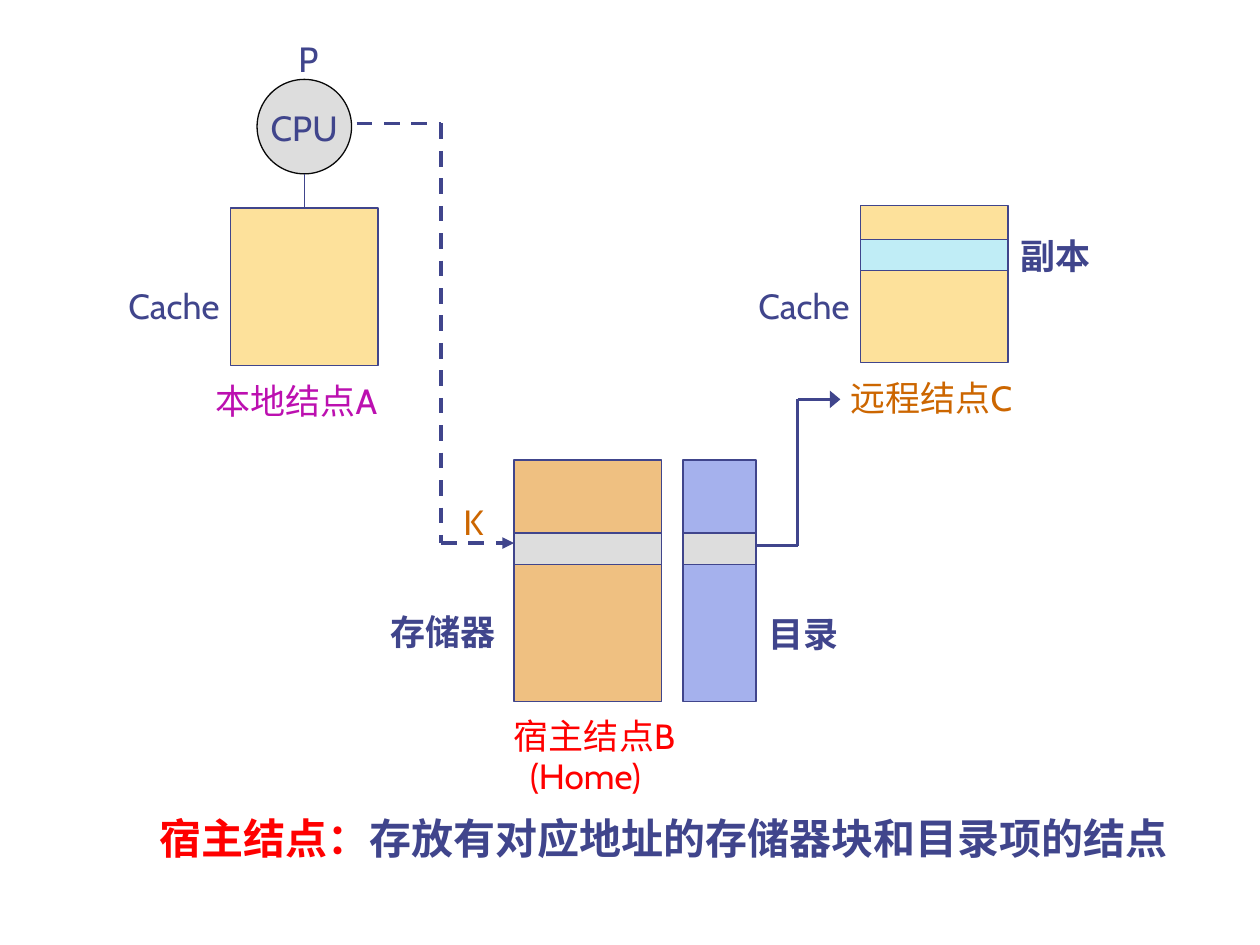
from lxml.etree import SubElement
from pptx import Presentation
from pptx.dml.color import RGBColor
from pptx.enum.dml import MSO_LINE
from pptx.enum.shapes import MSO_CONNECTOR, MSO_SHAPE
from pptx.oxml.ns import qn
from pptx.util import Inches, Pt

INK = RGBColor(0x40, 0x45, 0x8C)
OUTLINE = RGBColor(0x08, 0x08, 0x08)
GRAY = RGBColor(0xDD, 0xDD, 0xDD)
YELLOW = RGBColor(0xFD, 0xE1, 0x9B)
ORANGE = RGBColor(0xEF, 0xC0, 0x81)
CYAN = RGBColor(0xC0, 0xED, 0xF6)
BLUE = RGBColor(0xA5, 0xB1, 0xED)
PURPLE = RGBColor(0xBC, 0x10, 0xB0)
BROWN = RGBColor(0xCC, 0x66, 0x00)
RED = RGBColor(0xFF, 0x00, 0x00)


def add_line(start, end, width, dash=None, head=None):
    points = [Inches(v) for v in (*start, *end)]
    line = s.shapes.add_connector(MSO_CONNECTOR.STRAIGHT, *points)
    line.line.color.rgb = INK
    line.line.width = Pt(width)
    if dash:
        line.line.dash_style = dash
    if head:
        ln = line._element.spPr.find(qn("a:ln"))
        SubElement(ln, qn("a:tailEnd"), type="triangle", w=head)
    SubElement(line._element.spPr, qn("a:effectLst"))
    return line


def add_text(x, y, w, h, runs, size=20, bold=False, spacing=1.0):
    tf = s.shapes.add_textbox(Inches(x), Inches(y), Inches(w), Inches(h)).text_frame
    tf.word_wrap = True
    p = tf.paragraphs[0]
    p.line_spacing = spacing
    for text, color, font in runs:
        r = p.add_run()
        r.text = text
        r.font.size = Pt(size)
        r.font.bold = bold
        r.font.name = font
        r.font.color.rgb = color


prs = Presentation()
prs.slide_width, prs.slide_height = Inches(10), Inches(7.5)
s = prs.slides.add_slide(prs.slide_layouts[6])

boxes = {}
for name, kind, x, y, w, h, fill, outline in [
    ("cpu", MSO_SHAPE.OVAL, 2.04, 0.63, 0.75, 0.75, GRAY, OUTLINE),
    ("local cache", MSO_SHAPE.RECTANGLE, 1.83, 1.65, 1.17, 1.25, YELLOW, INK),
    ("remote cache", MSO_SHAPE.RECTANGLE, 6.83, 1.63, 1.17, 1.25, YELLOW, INK),
    ("replica", MSO_SHAPE.RECTANGLE, 6.83, 1.9, 1.17, 0.25, CYAN, INK),
    ("memory", MSO_SHAPE.RECTANGLE, 4.08, 3.65, 1.17, 1.92, ORANGE, INK),
    ("directory", MSO_SHAPE.RECTANGLE, 5.42, 3.65, 0.58, 1.92, BLUE, INK),
    ("memory block", MSO_SHAPE.RECTANGLE, 4.08, 4.23, 1.17, 0.25, GRAY, INK),
    ("directory entry", MSO_SHAPE.RECTANGLE, 5.42, 4.23, 0.58, 0.25, GRAY, INK),
]:
    sp = s.shapes.add_shape(kind, Inches(x), Inches(y), Inches(w), Inches(h))
    sp.shadow.inherit = False
    sp.fill.solid()
    sp.fill.fore_color.rgb = fill
    sp.line.color.rgb = outline
    sp.line.width = Pt(0.75)
    boxes[name] = sp

cpu_x = 1.83 + 1.17 / 2
cpu_link = add_line((cpu_x, 1.38), (cpu_x, 1.65), 0.75)
cpu_link.end_connect(boxes["local cache"], 0)

request = [(2.83, 0.98), (3.5, 0.98), (3.5, 4.31), (4.08, 4.31)]
forward = [(6, 4.33), (6.33, 4.33), (6.33, 3.17), (6.67, 3.17)]
for route, width, dash, head in [
    (request, 2.25, MSO_LINE.DASH, "med"),
    (forward, 1.5, None, "lg"),
]:
    for start, end in zip(route, route[1:]):
        add_line(start, end, width, dash, head if end == route[-1] else None)

for text, x, y, w, h, color, bold, spacing in [
    ("P", 2.27, 0.25, 0.5, 0.44, INK, False, 1.0),
    ("CPU", 2.05, 0.8, 0.83, 0.44, INK, False, 1.0),
    ("Cache", 0.92, 2.21, 1.17, 0.44, INK, False, 1.0),
    ("本地结点A", 1.61, 2.96, 1.68, 0.44, PURPLE, False, 1.0),
    ("Cache", 5.92, 2.21, 1.17, 0.44, INK, False, 1.0),
    ("副本", 8, 1.81, 1, 0.44, INK, True, 1.0),
    ("远程结点C", 6.65, 2.94, 1.56, 0.44, BROWN, False, 1.0),
    ("K", 3.58, 3.92, 0.42, 0.44, BROWN, False, 1.0),
    ("存储器", 3, 4.8, 1.08, 0.44, INK, True, 1.0),
    ("目录", 6, 4.81, 1, 0.44, INK, True, 1.0),
    ("宿主结点B", 3.98, 5.66, 1.58, 0.4, RED, False, 0.9),
    ("(Home)", 4.11, 5.98, 1.42, 0.4, RED, False, 0.9),
]:
    add_text(x, y, w, h, [(text, color, "Cabin")], bold=bold, spacing=spacing)

definition = [
    ("宿主结点：", RED, "Cabin"),
    ("存放有对应地址的存储器块和目录项的结点", INK, "Noto Sans CJK SC"),
]
add_text(1.17, 6.48, 8.4, 0.42, definition, size=24, bold=True, spacing=0.8)

prs.save("out.pptx")
